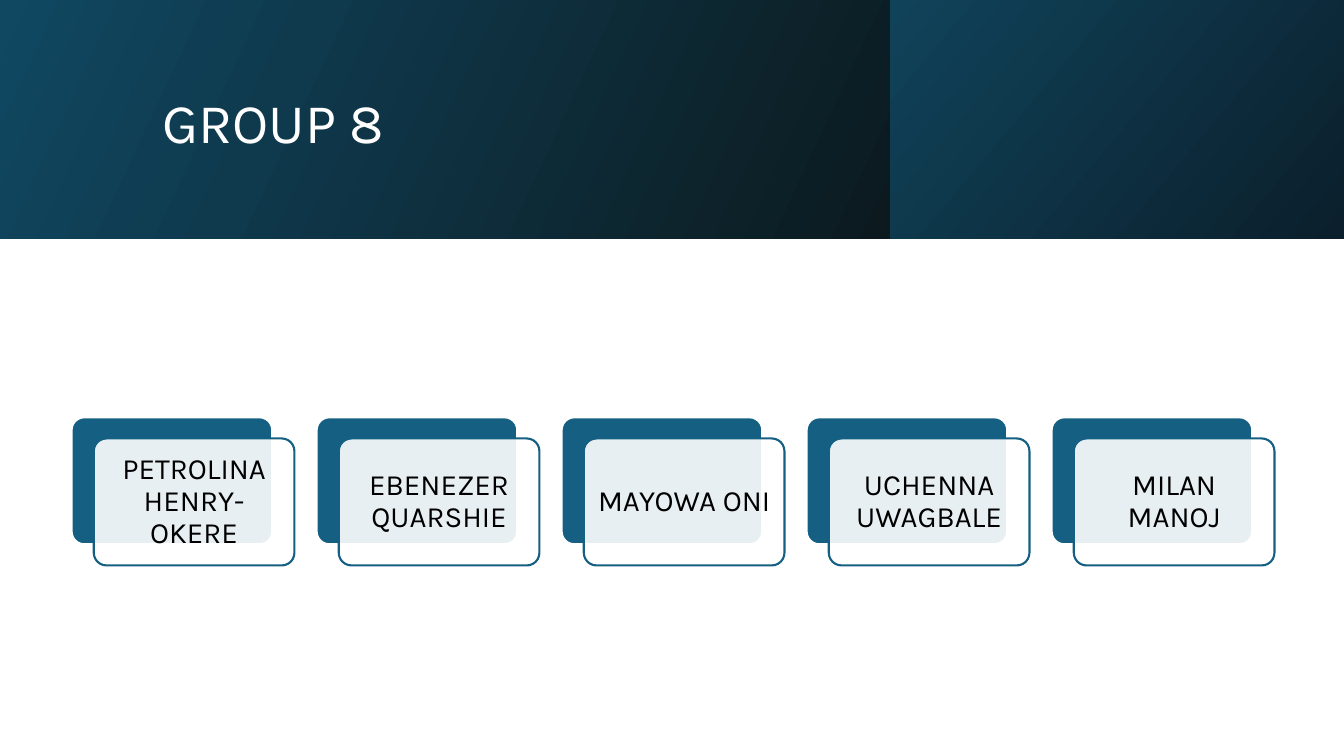
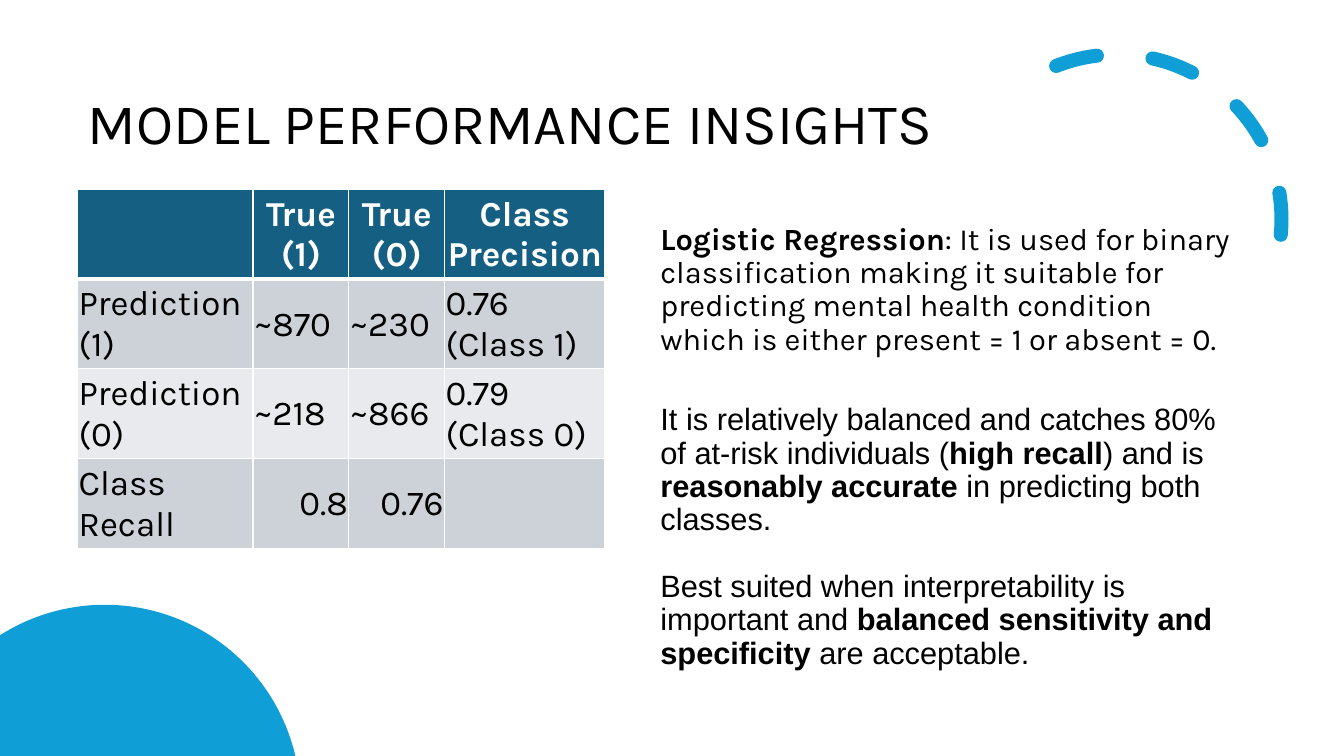
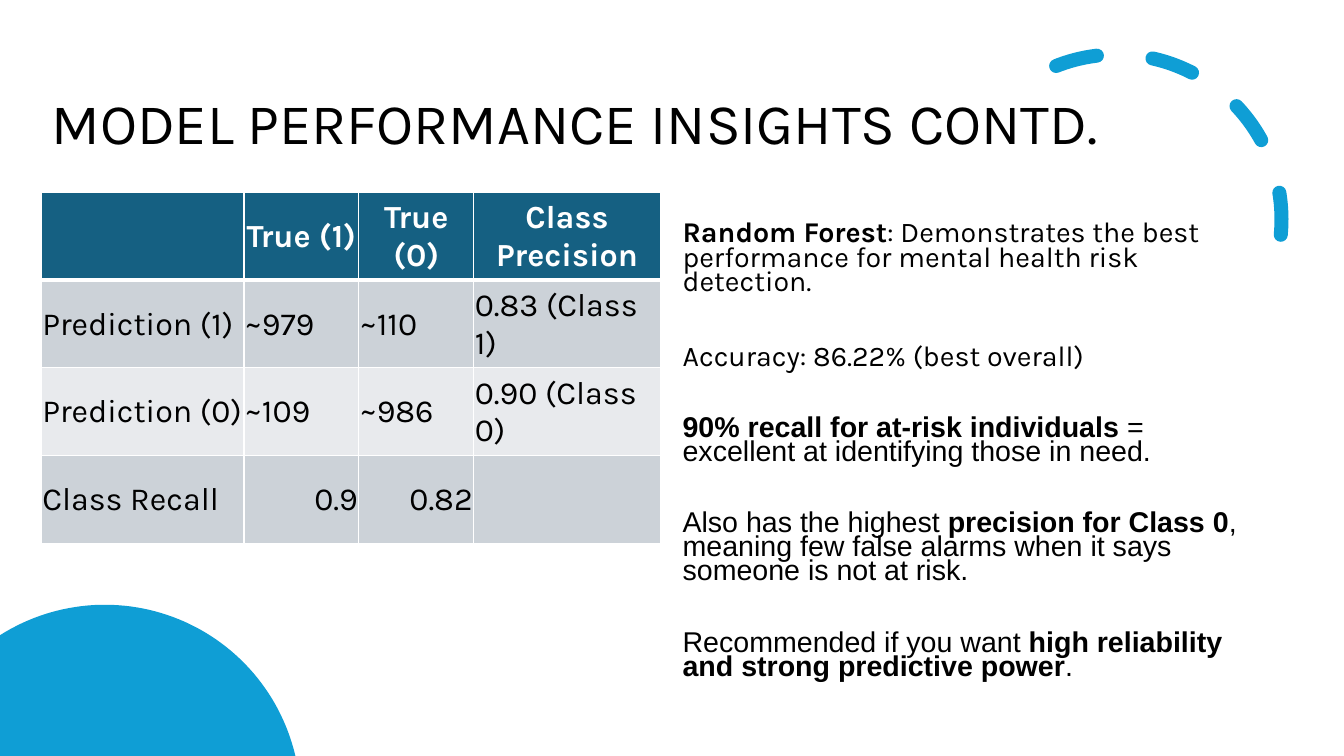
import math

import pptx
import pptx.dml.color
import pptx.enum.dml
import pptx.enum.shapes
import pptx.enum.text
import pptx.oxml
import pptx.oxml.ns
import pptx.util

# Shared look
W, H = 13.33, 7.5
FONT, ALT_FONT = "Karla", "Arial"
BLACK, WHITE = "000000", "FFFFFF"
TEAL, SKY = "156082", "0F9ED5"
ROW_FILLS = ["CCD2D8", "E8EAED"]
TITLE_ONLY, TITLE_AND_BODY = 5, 1
BANNER_H = 2.37

SHAPE = pptx.enum.shapes.MSO_SHAPE
ALIGN = pptx.enum.text.PP_ALIGN
MIDDLE = pptx.enum.text.MSO_ANCHOR.MIDDLE
inch = pptx.util.Inches
pt = pptx.util.Pt


def rgb(color):
    return pptx.dml.color.RGBColor.from_string(color)


def place(sp, left, top, width, height):
    sp.left, sp.top = inch(left), inch(top)
    sp.width, sp.height = inch(width), inch(height)


def add_run(p, text, size, color=BLACK, bold=False, font=FONT):
    r = p.add_run()
    r.text = text
    r.font.name, r.font.size, r.font.bold = font, pt(size), bold
    r.font.color.rgb = rgb(color)


def add_shape(slide, kind, box, fill=None, line=None, width=1.5):
    sp = slide.shapes.add_shape(kind, *[inch(v) for v in box])
    sp.shadow.inherit = False
    if fill:
        sp.fill.solid()
        sp.fill.fore_color.rgb = rgb(fill)
    else:
        sp.fill.background()
    if line:
        sp.line.color.rgb = rgb(line)
        sp.line.width = pt(width)
    else:
        sp.line.fill.background()
    return sp


def set_title(slide, text, left, top, width, height, size=41, color=BLACK):
    sp = slide.shapes.title
    place(sp, left, top, width, height)
    tf = sp.text_frame
    tf.word_wrap, tf.vertical_anchor = True, MIDDLE
    tf.auto_size = pptx.enum.text.MSO_AUTO_SIZE.NONE
    p = tf.paragraphs[0]
    p.alignment, p.line_spacing = ALIGN.LEFT, 0.9
    add_run(p, text, size, color)


def set_body(slide, left, size, spacing, paragraphs):
    """Each paragraph is (space before, font, runs); every second run is bold from `bold_first`."""
    sp = slide.placeholders[1]
    place(sp, left, 2.17, 12.42 - left, 4.58)
    tf = sp.text_frame
    tf.word_wrap = True
    tf.auto_size = pptx.enum.text.MSO_AUTO_SIZE.NONE
    for i, (before, font, runs) in enumerate(paragraphs):
        p = tf.paragraphs[0] if i == 0 else tf.add_paragraph()
        p.space_before, p.line_spacing = pt(before), spacing
        p_pr = p._p.get_or_add_pPr()
        p_pr.set("marL", "0")
        p_pr.set("indent", "0")
        pptx.oxml.ns.qn("a:buNone")
        p_pr.append(pptx.oxml.parse_xml(f"<a:buNone {pptx.oxml.ns.nsdecls('a')}/>"))
        for text, bold in runs:
            add_run(p, text, size, bold=bold, font=font)


def add_gradient(slide, box, start, end, angle):
    sp = add_shape(slide, SHAPE.RECTANGLE, box, start)
    sp.fill.gradient()
    sp.fill.gradient_angle = angle
    for stop, color in zip(sp.fill.gradient_stops, (start, end)):
        stop.color.rgb = rgb(color)


def add_card(slide, left, top, name):
    """Solid card with a translucent name card set off from it."""
    width, height = 1.99, 1.26
    back = add_shape(slide, SHAPE.ROUNDED_RECTANGLE, (left, top, width, height), TEAL, WHITE)
    front = add_shape(slide, SHAPE.ROUNDED_RECTANGLE,
                      (left + 0.22, top + 0.21, width, height), WHITE, TEAL)
    for sp in (back, front):
        sp.adjustments[0] = 0.1
    color = front.fill._xPr.find(".//" + pptx.oxml.ns.qn("a:srgbClr"))
    color.append(pptx.oxml.parse_xml(f'<a:alpha {pptx.oxml.ns.nsdecls("a")} val="90000"/>'))
    tf = front.text_frame
    tf.word_wrap, tf.vertical_anchor = True, MIDDLE
    tf.margin_left = tf.margin_right = tf.margin_top = tf.margin_bottom = inch(0.09)
    p = tf.paragraphs[0]
    p.alignment, p.line_spacing = ALIGN.CENTER, 0.9
    add_run(p, name, 21)


def add_decor(slide):
    """Dashed arc at the top right, disc cut by the bottom left corner."""
    arc = add_shape(slide, SHAPE.ARC, (9.44, 0.54, 3.27, 3.27), line=SKY, width=10)
    arc.adjustments[0], arc.adjustments[1] = 144.42, 0
    arc.rotation = 66.1
    arc.element.spPr.xfrm.set("flipH", "1")
    arc.line.dash_style = pptx.enum.dml.MSO_LINE.DASH
    arc.line._get_or_add_ln().set("cap", "rnd")

    radius, cx, cy, steps = 1.94, 1.04, 7.94, 60
    start = math.pi - math.acos(cx / radius)
    end = math.asin((cy - H) / radius)
    angles = [start + (end - start) * i / steps for i in range(steps + 1)]
    points = [(cx + radius * math.cos(a), cy - radius * math.sin(a)) for a in angles]
    builder = slide.shapes.build_freeform(0, inch(H))
    builder.add_line_segments([(inch(x), inch(y)) for x, y in points])
    disc = builder.convert_to_shape()
    disc.shadow.inherit = False
    disc.fill.solid()
    disc.fill.fore_color.rgb = rgb(SKY)
    disc.line.fill.background()


def set_borders(cell, bottom):
    tc_pr = cell._tc.get_or_add_tcPr()
    for i, (side, width) in enumerate([("L", 1), ("R", 1), ("T", 1), ("B", bottom)]):
        tc_pr.insert(i, pptx.oxml.parse_xml(
            f'<a:ln{side} {pptx.oxml.ns.nsdecls("a")} w="{pt(width)}"><a:solidFill>'
            f'<a:srgbClr val="{WHITE}"/></a:solidFill></a:ln{side}>'))


def add_matrix(slide, left, top, cols, row_height, size, rows):
    """Confusion matrix with a header row; the last row holds right-aligned recalls."""
    frame = slide.shapes.add_table(len(rows), len(cols), inch(left), inch(top),
                                   inch(sum(cols)), inch(row_height * len(rows)))
    table = frame.table
    table.horz_banding = False
    for column, width in zip(table.columns, cols):
        column.width = inch(width)
    for i, row in enumerate(rows):
        header, last = i == 0, i == len(rows) - 1
        for j, text in enumerate(row):
            cell = table.cell(i, j)
            cell.fill.solid()
            cell.fill.fore_color.rgb = rgb(TEAL if header else ROW_FILLS[(i - 1) % 2])
            set_borders(cell, 3 if header or i == 0 else 1)
            cell.vertical_anchor = MIDDLE
            cell.margin_left = cell.margin_right = cell.margin_top = inch(0.01)
            cell.margin_bottom = 0
            if text:
                p = cell.text_frame.paragraphs[0]
                if header:
                    p.alignment = ALIGN.CENTER
                elif last and j:
                    p.alignment = ALIGN.RIGHT
                add_run(p, text, size, WHITE if header else BLACK, header)


def build_group(prs):
    slide = prs.slides.add_slide(prs.slide_layouts[TITLE_ONLY])
    split = 8.83
    add_gradient(slide, (0, 0, split, BANNER_H), "104862", "0C1A1F", 335)
    add_gradient(slide, (split, 0, W - split, BANNER_H), "10435A", "0B1F2C", 320)
    set_title(slide, "GROUP 8", 1.51, 0.38, 10.63, 1.72, 40, WHITE)
    title = slide.shapes.title.element
    title.getparent().append(title)  # in front of the banner
    names = ["PETROLINA HENRY-OKERE", "EBENEZER QUARSHIE", "MAYOWA ONI",
             "UCHENNA UWAGBALE", "MILAN MANOJ"]
    for i, name in enumerate(names):
        add_card(slide, 0.71 + 2.43 * i, 4.14, name)


def build_model(prs, title, left, table, body):
    slide = prs.slides.add_slide(prs.slide_layouts[TITLE_AND_BODY])
    add_decor(slide)
    set_title(slide, title, left, 0.52, 12.42 - left, 1.45)
    set_body(slide, *body)
    add_matrix(slide, left, *table)


def main():
    prs = pptx.Presentation()
    prs.slide_width, prs.slide_height = inch(W), inch(H)
    header = ["", "True (1)", "True (0)", "Class Precision"]

    build_group(prs)

    # Logistic regression
    build_model(prs, "MODEL PERFORMANCE INSIGHTS", 0.77, (
        1.88, [1.74, 0.95, 0.95, 1.59], 0.89, 25, [
            header,
            ["Prediction (1)", "~870", "~230", "0.76 (Class 1)"],
            ["Prediction (0)", "~218", "~866", "0.79 (Class 0)"],
            ["Class Recall", "0.8", "0.76", ""]]), (
        6.45, 22, 0.9, [
            (0, FONT, [("Logistic Regression", True),
                       (": It is used for binary classification making it suitable for "
                        "predicting mental health condition which is either present = 1 "
                        "or absent = 0.", False)]),
            (34, ALT_FONT, [("It is relatively balanced and catches 80% of at-risk "
                             "individuals (", False), ("high recall", True),
                            (") and is ", False), ("reasonably accurate", True),
                            (" in predicting both classes.", False)]),
            (24, ALT_FONT, [("Best suited when interpretability is important and ", False),
                            ("balanced sensitivity and specificity", True),
                            (" are acceptable.", False)])]))

    # Random forest
    build_model(prs, "MODEL PERFORMANCE INSIGHTS CONTD.", 0.41, (
        1.91, [2.01, 1.14, 1.14, 1.85], 0.87, 23, [
            header,
            ["Prediction (1)", "~979", "~110", "0.83 (Class 1)"],
            ["Prediction (0)", "~109", "~986", "0.90 (Class 0)"],
            ["Class Recall", "0.9", "0.82", ""]]), (
        6.67, 20.4, 0.7, [
            (0, FONT, [("Random Forest", True),
                       (": Demonstrates the best performance for mental health risk "
                        "detection.", False)]),
            (37, FONT, [("Accuracy: 86.22% (best overall)", False)]),
            (33, ALT_FONT, [("90% recall for at-risk individuals", True),
                            (" = excellent at identifying those in need.", False)]),
            (34, ALT_FONT, [("Also has the highest ", False), ("precision for Class 0", True),
                            (", meaning few false alarms when it says someone is not at "
                             "risk.", False)]),
            (34, ALT_FONT, [("Recommended if you want ", False),
                            ("high reliability and strong predictive power", True),
                            (".", False)])]))

    prs.save("out.pptx")


if __name__ == "__main__":
    main()
